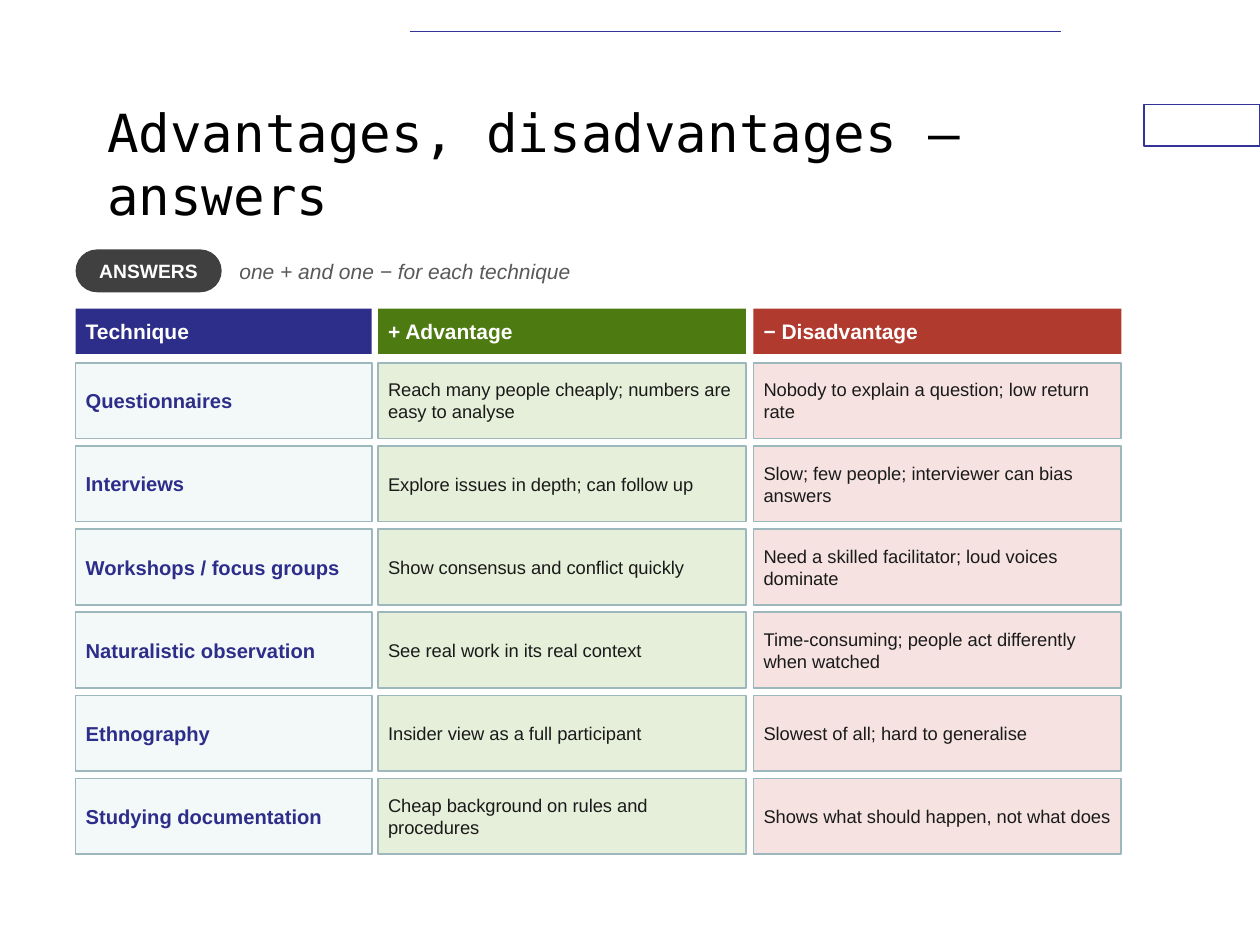
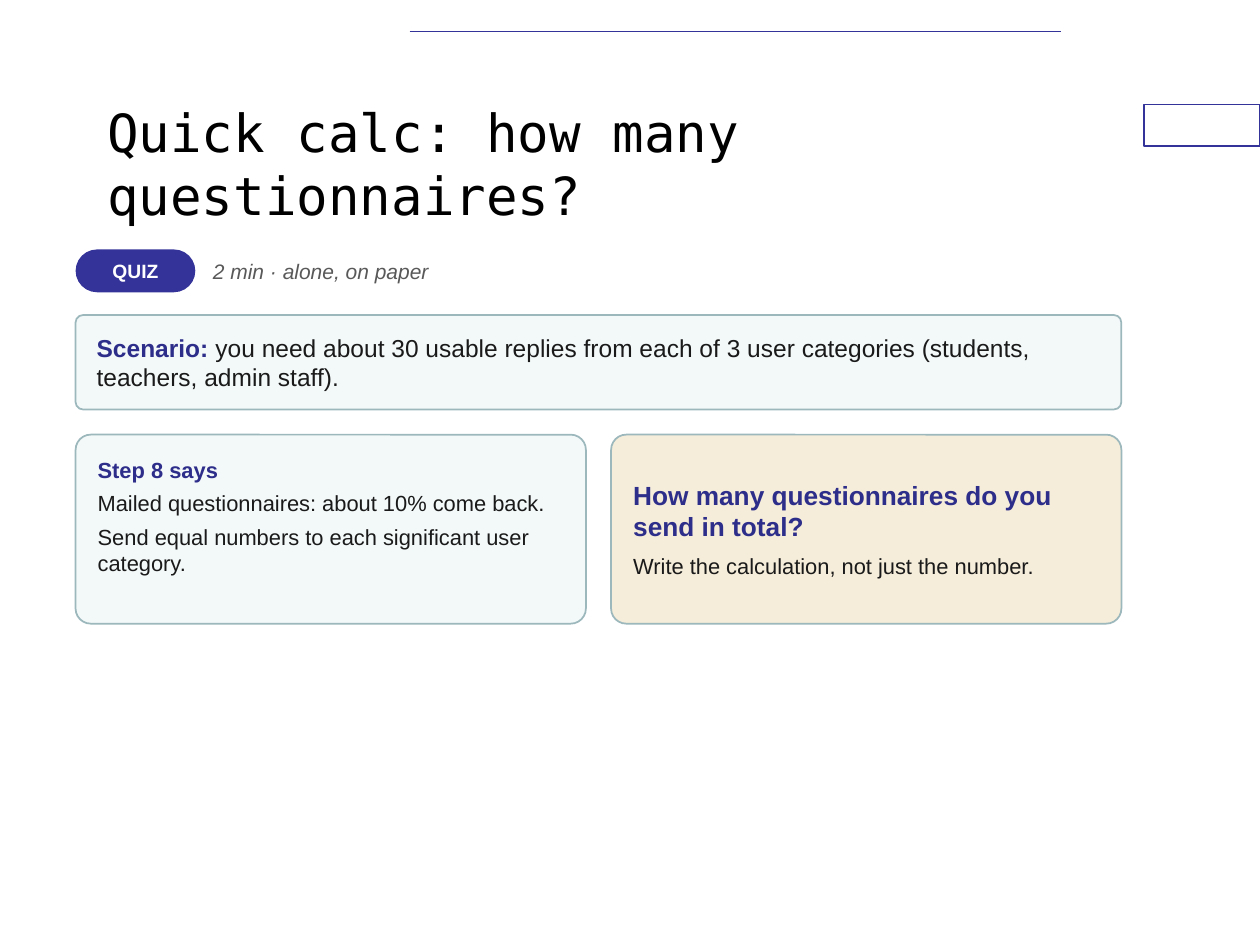
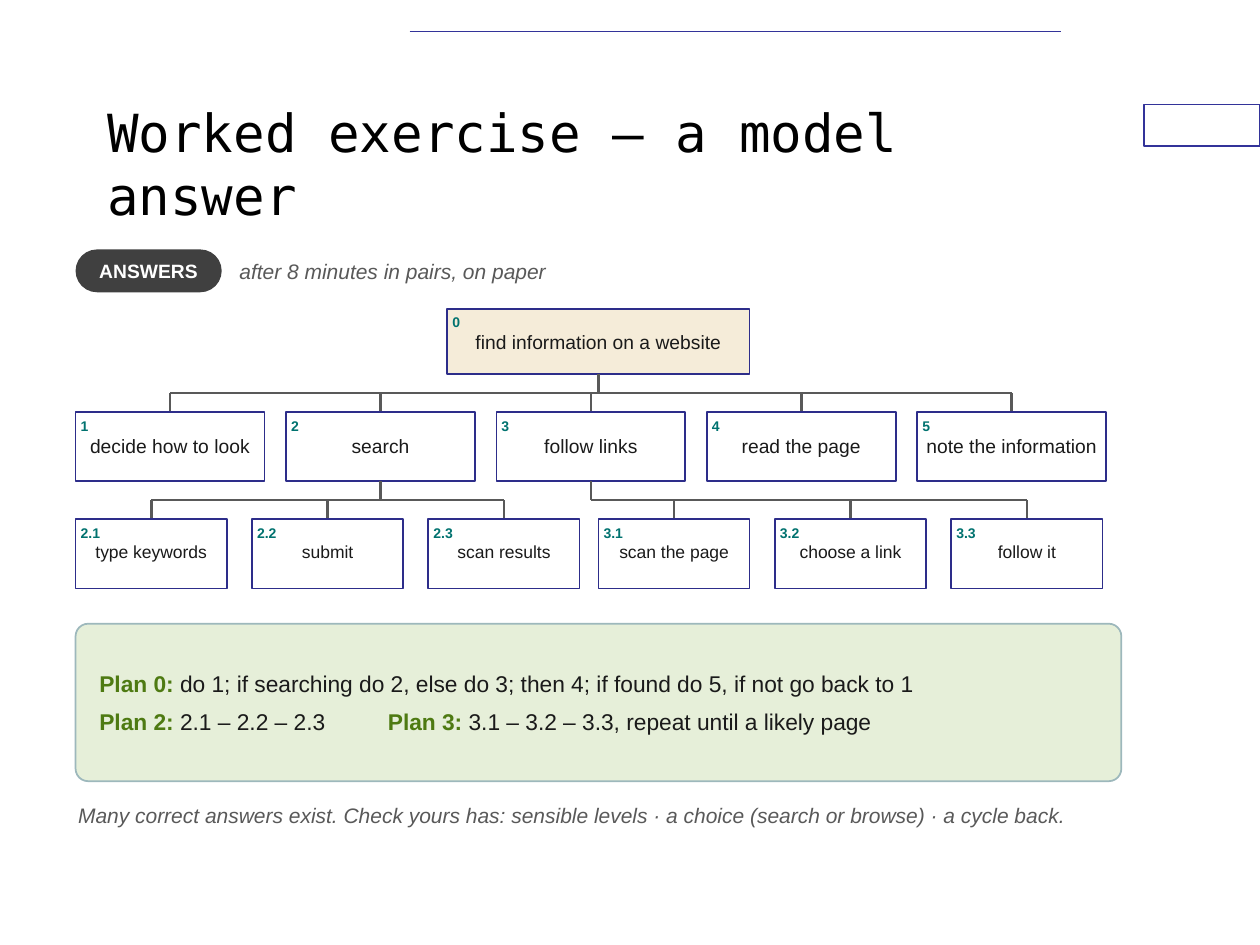
import pptx
import pptx.dml.color
import pptx.enum.shapes
import pptx.enum.text
import pptx.oxml
import pptx.oxml.ns
import pptx.util

Inches, Pt = pptx.util.Inches, pptx.util.Pt
RGB = pptx.dml.color.RGBColor
MSO, ANCHOR, ALIGN = (pptx.enum.shapes.MSO_SHAPE, pptx.enum.text.MSO_ANCHOR,
                      pptx.enum.text.PP_ALIGN)

BLACK, WHITE = RGB(0, 0, 0), RGB(0xFF, 0xFF, 0xFF)
INK, GREY, CHARCOAL = RGB(0x1A, 0x1A, 0x1A), RGB(0x59, 0x59, 0x59), RGB(0x40, 0x40, 0x40)
BLUE, NAVY, TEAL = RGB(0x33, 0x33, 0x99), RGB(0x2D, 0x2D, 0x8A), RGB(0x00, 0x72, 0x6F)
GREEN, RED = RGB(0x4E, 0x7A, 0x12), RGB(0xB0, 0x3A, 0x2E)
MIST, LEAF, ROSE = RGB(0xF3, 0xF8, 0xF9), RGB(0xE6, 0xEF, 0xD9), RGB(0xF6, 0xE3, 0xE1)
SAND, EDGE = RGB(0xF5, 0xEC, 0xD9), RGB(0x9D, 0xB8, 0xBC)
BODY_FONT, TITLE_FONT = "Arial", "DejaVu Sans Mono"

LEFT, WIDTH = 0.6, 8.3
RIGHT = LEFT + WIDTH

# Slide 1: left, width, heading, heading fill, cell fill, text size, text colour, bold
COLUMNS = [
    (0.6, 2.35, "Technique", NAVY, MIST, 11.5, NAVY, True),
    (3, 2.92, "+ Advantage", GREEN, LEAF, 10.5, INK, False),
    (5.98, 2.92, "− Disadvantage", RED, ROSE, 10.5, INK, False),
]
TECHNIQUES = [
    ("Questionnaires", "Reach many people cheaply; numbers are easy to analyse",
     "Nobody to explain a question; low return rate"),
    ("Interviews", "Explore issues in depth; can follow up",
     "Slow; few people; interviewer can bias answers"),
    ("Workshops / focus groups", "Show consensus and conflict quickly",
     "Need a skilled facilitator; loud voices dominate"),
    ("Naturalistic observation", "See real work in its real context",
     "Time-consuming; people act differently when watched"),
    ("Ethnography", "Insider view as a full participant",
     "Slowest of all; hard to generalise"),
    ("Studying documentation", "Cheap background on rules and procedures",
     "Shows what should happen, not what does"),
]

# Paragraphs are lists of runs: (text, size, colour, style), style "b" or "i"
SCENARIO = [[("Scenario: ", 14, NAVY, "b"),
             ("you need about 30 usable replies from each of 3 user categories "
              "(students, teachers, admin staff).", 14, INK, "")]]
STEP_8 = [[("Step 8 says", 12.5, NAVY, "b")],
          [("Mailed questionnaires: about 10% come back.", 12.5, INK, "")],
          [("Send equal numbers to each significant user category.", 12.5, INK, "")]]
QUESTION = [[("How many questionnaires do you send in total?", 15, NAVY, "b")],
            [("Write the calculation, not just the number.", 12.5, INK, "")]]

# Slide 3
GOAL = "find information on a website"
TASKS = ["decide how to look", "search", "follow links", "read the page",
         "note the information"]
SUBTASKS = {2: (0.6, ["type keywords", "submit", "scan results"]),
            3: (4.75, ["scan the page", "choose a link", "follow it"])}
PLANS = [[("Plan 0: ", 13, GREEN, "b"),
          ("do 1; if searching do 2, else do 3; then 4; if found do 5, "
           "if not go back to 1", 13, INK, "")],
         [("Plan 2: ", 13, GREEN, "b"), ("2.1 – 2.2 – 2.3\t", 13, INK, ""),
          ("Plan 3: ", 13, GREEN, "b"),
          ("3.1 – 3.2 – 3.3, repeat until a likely page", 13, INK, "")]]
CHECK = ("Many correct answers exist. Check yours has: sensible levels · "
         "a choice (search or browse) · a cycle back.")


def write(sp, paras, inset, anchor=ANCHOR.MIDDLE, aligns=(), gap=0):
    tf = sp.text_frame
    tf.word_wrap, tf.vertical_anchor = True, anchor
    tf.margin_left = tf.margin_right = tf.margin_top = tf.margin_bottom = Inches(inset)
    for i, runs in enumerate(paras):
        p = tf.add_paragraph() if i else tf.paragraphs[0]
        p.alignment = aligns[i] if aligns else ALIGN.LEFT
        if i and gap:
            p.space_before = Pt(gap)
        for text, size, color, style in runs:
            r = p.add_run()
            r.text = text
            r.font.name, r.font.size = BODY_FONT, Pt(size)
            r.font.color.rgb = color
            r.font.bold, r.font.italic = style == "b", style == "i"


def add_box(slide, x, y, w, h, fill, line=None, line_width=1, radius=None):
    kind = MSO.RECTANGLE if radius is None else MSO.ROUNDED_RECTANGLE
    sp = slide.shapes.add_shape(kind, Inches(x), Inches(y), Inches(w), Inches(h))
    sp.shadow.inherit = False
    if radius is not None:
        sp.adjustments[0] = radius
    sp.fill.solid()
    sp.fill.fore_color.rgb = fill
    if line is None:
        sp.line.fill.background()
    else:
        sp.line.color.rgb, sp.line.width = line, Pt(line_width)
    return sp


def add_line(slide, x1, y1, x2, y2, color=GREY, width=1.5):
    ln = slide.shapes.add_connector(pptx.enum.shapes.MSO_CONNECTOR.STRAIGHT,
                                    Inches(x1), Inches(y1), Inches(x2), Inches(y2))
    ln.line.color.rgb, ln.line.width = color, Pt(width)
    pptx.oxml.ns.qn("a:effectLst")
    ln.element.spPr.append(pptx.oxml.parse_xml(
        f'<a:effectLst {pptx.oxml.ns.nsdecls("a")}/>'))
    return ln


def add_note(slide, text, x, y, w, h, anchor):
    tb = slide.shapes.add_textbox(Inches(x), Inches(y), Inches(w), Inches(h))
    write(tb, [[(text, 12, GREY, "i")]], 0.02, anchor)


def decorate_layout(layout, slide):
    """Place the title and move the corner box and top rule into the layout."""
    title = layout.placeholders[0]
    title.left, title.top = Inches(0.75), Inches(0.67)
    title.width, title.height = Inches(7.5), Inches(1.25)
    for sp in (add_box(slide, 9.08, 0.83, 0.92, 0.33, WHITE, BLUE, 0.75),
               add_line(slide, 3.25, 0.25, 8.42, 0.25, BLUE, 1)):
        layout.shapes.element.append(sp.element)


def add_heading(slide, title, tag, tag_width, tag_fill, caption):
    tf = slide.shapes.title.text_frame
    tf.auto_size = pptx.enum.text.MSO_AUTO_SIZE.NONE
    tf.vertical_anchor = ANCHOR.MIDDLE
    p = tf.paragraphs[0]
    p.alignment = ALIGN.LEFT
    r = p.add_run()
    r.text = title
    r.font.name, r.font.size = TITLE_FONT, Pt(30)
    r.font.color.rgb = BLACK
    pill = add_box(slide, LEFT, 1.98, tag_width, 0.34, tag_fill, radius=0.5)
    write(pill, [[(tag, 11, WHITE, "b")]], 0.03, aligns=[ALIGN.CENTER])
    x = LEFT + tag_width + 0.12
    add_note(slide, caption, x, 1.98, RIGHT - x, 0.34, ANCHOR.MIDDLE)


def build_comparison(slide):
    for col, (x, w, head, head_fill, fill, size, color, bold) in enumerate(COLUMNS):
        write(add_box(slide, x, 2.45, w, 0.36, head_fill),
              [[(head, 12, WHITE, "b")]], 0.08)
        for row, texts in enumerate(TECHNIQUES):
            cell = add_box(slide, x, 2.88 + 0.66 * row, w, 0.6, fill, EDGE)
            write(cell, [[(texts[col], size, color, "b" if bold else "")]], 0.08)


def build_quiz(slide):
    write(add_box(slide, LEFT, 2.5, WIDTH, 0.75, MIST, EDGE, radius=0.08), SCENARIO, 0.15)
    gap = 0.2
    w = (WIDTH - gap) / 2
    cards = [(STEP_8, MIST, ANCHOR.TOP, 4), (QUESTION, SAND, ANCHOR.MIDDLE, 6)]
    for i, (paras, fill, anchor, space) in enumerate(cards):
        card = add_box(slide, LEFT + i * (w + gap), 3.45, w, 1.5, fill, EDGE, radius=0.08)
        write(card, paras, 0.14, anchor, gap=space)


def add_task(slide, number, text, x, y, w, h, size=11, fill=WHITE):
    write(add_box(slide, x, y, w, h, fill, NAVY),
          [[(number, 8, TEAL, "b")], [(text, size, INK, "")]],
          0.04, ANCHOR.TOP, [ALIGN.LEFT, ALIGN.CENTER])


def add_children(slide, parent_x, parent_bottom, prefix, texts, left, w, step, size):
    """Draw a row of tasks joined to its parent; return the task centres."""
    drop = 0.15
    bus, top = parent_bottom + drop, parent_bottom + 2 * drop
    centres = [left + i * step + w / 2 for i in range(len(texts))]
    add_line(slide, parent_x, parent_bottom, parent_x, bus)
    add_line(slide, min(parent_x, centres[0]), bus, max(parent_x, centres[-1]), bus)
    for i, (cx, text) in enumerate(zip(centres, texts), 1):
        add_line(slide, cx, bus, cx, top)
        add_task(slide, f"{prefix}{i}", text, cx - w / 2, top, w, 0.55, size)
    return centres


def build_task_tree(slide):
    add_task(slide, "0", GOAL, 3.55, 2.45, 2.4, 0.52, fill=SAND)
    centres = add_children(slide, 4.75, 2.97, "", TASKS, LEFT, 1.5, 1.67, 11)
    for task, (left, texts) in SUBTASKS.items():
        add_children(slide, centres[task - 1], 3.82, f"{task}.", texts, left, 1.2, 1.4, 10)
    plans = add_box(slide, LEFT, 4.95, WIDTH, 1.25, LEAF, EDGE, radius=0.08)
    write(plans, PLANS, 0.16, gap=6)
    pPr = plans.text_frame.paragraphs[1]._p.get_or_add_pPr()
    pPr.append(pptx.oxml.parse_xml(
        f'<a:tabLst {pptx.oxml.ns.nsdecls("a")}>'
        f'<a:tab pos="{Inches(2.29)}" algn="l"/></a:tabLst>'))
    add_note(slide, CHECK, LEFT, 6.35, WIDTH, 0.5, ANCHOR.TOP)


SLIDES = [
    (("Advantages, disadvantages — answers", "ANSWERS", 1.16, CHARCOAL,
      "one + and one − for each technique"), build_comparison),
    (("Quick calc: how many questionnaires?", "QUIZ", 0.95, BLUE,
      "2 min · alone, on paper"), build_quiz),
    (("Worked exercise — a model answer", "ANSWERS", 1.16, CHARCOAL,
      "after 8 minutes in pairs, on paper"), build_task_tree),
]


def main():
    prs = pptx.Presentation()
    prs.slide_width, prs.slide_height = Inches(10), Inches(7.5)
    layout = prs.slide_layouts[5]
    for i, (heading, build) in enumerate(SLIDES):
        slide = prs.slides.add_slide(layout)
        if i == 0:
            decorate_layout(layout, slide)
        add_heading(slide, *heading)
        build(slide)
    prs.save("out.pptx")


if __name__ == "__main__":
    main()
